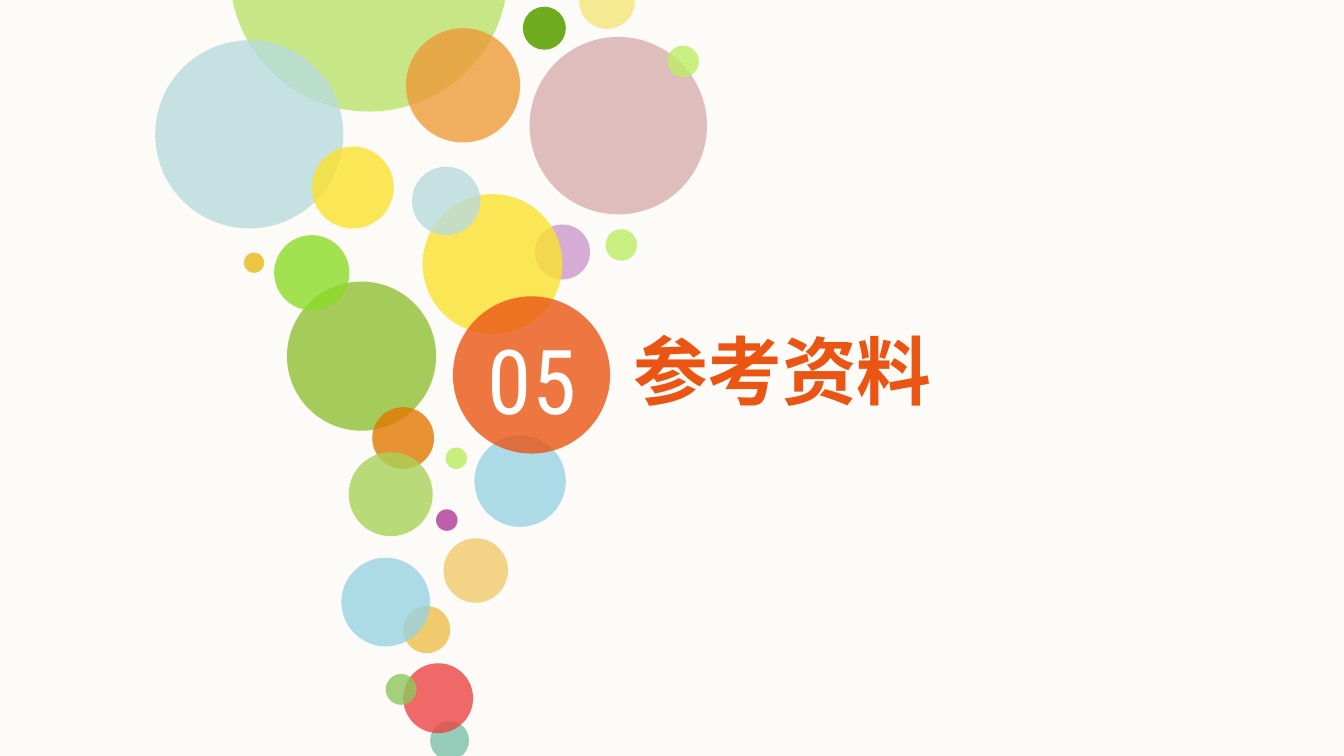
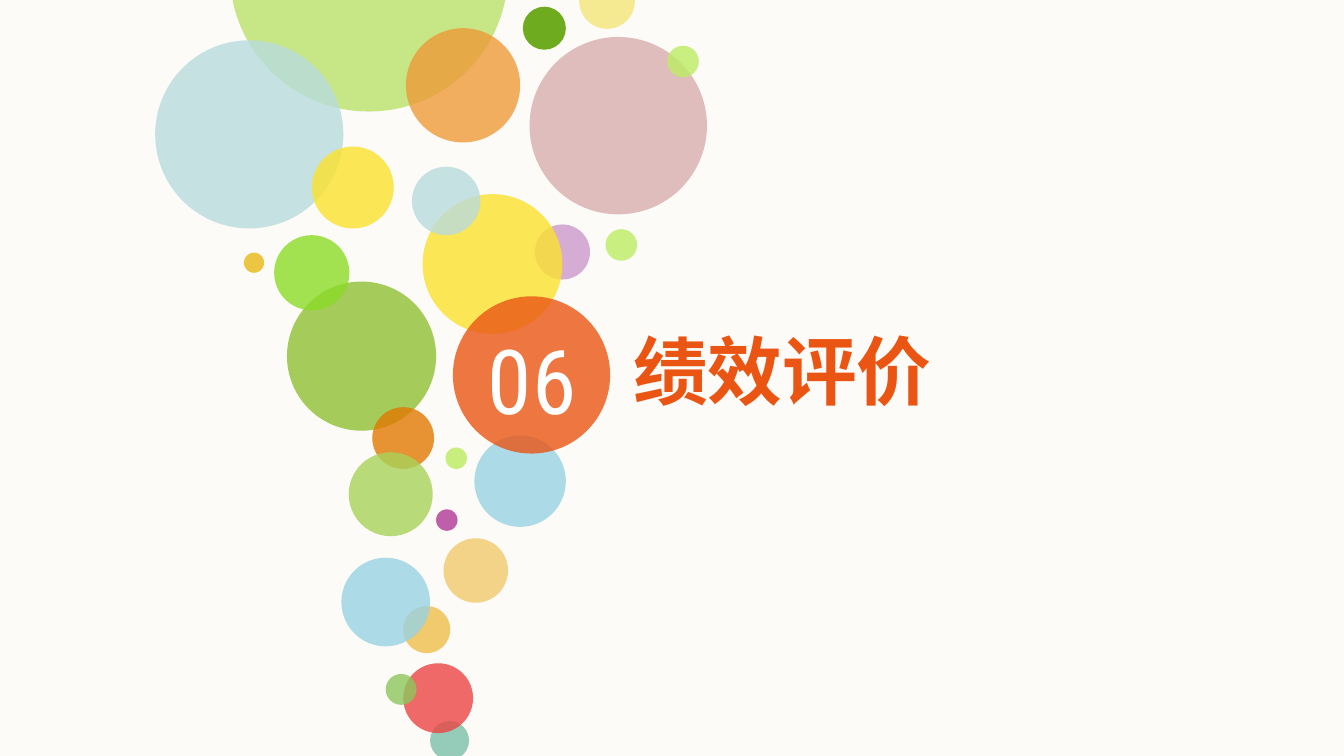
"""Builds two section slides with a column of translucent bubbles."""
import pptx
import pptx.dml.color
import pptx.enum.shapes
import pptx.enum.text
import pptx.oxml.ns
import pptx.util
from lxml import etree

SECTIONS = [("05", "参考资料"), ("06", "绩效评价")]

PAPER, ORANGE, WHITE = "FCFBF7", "EA5514", "FFFFFF"
YELLOW, MIST, SKY, SAND = "FBE22D", "B9DBDD", "98D2E3", "F0CA6C"
NUMBER_FONT, TITLE_FONT = "Roboto Condensed", "Noto Sans CJK SC"

PX = 4572
SLIDE_SIZE = (2000, 1125)
NUMBER_BOX = (712, 484, 160, 162)
TITLE_BOX = (942, 484, 1018, 134)

# left, top, diameter, colour, opacity
BUBBLES = [
    (342, -248, 414, "BAE36B", 80),
    (778, 10, 64, "6EAB1F", 100),
    (231, 60, 280, MIST, 80),
    (604, 42, 170, "ED9B38", 80),
    (862, -40, 83, "F5EA91", 100),
    (788, 55, 264, "D8AEAF", 80),
    (427, 419, 222, "A5CB5A", 100),
    (993, 68, 47, "BDED63", 80),
    (901, 341, 47, "BCED61", 80),
    (796, 334, 82, "CB99CC", 80),
    (629, 289, 208, YELLOW, 80),
    (464, 218, 122, YELLOW, 80),
    (408, 350, 112, "8CDB27", 80),
    (363, 376, 30, "E9B915", 80),
    (663, 666, 32, "BCED60", 80),
    (649, 758, 32, "B03896", 80),
    (660, 801, 96, SAND, 80),
    (600, 902, 70, SAND, 100),
    (640, 1073, 58, "7BBFAA", 80),
    (600, 987, 104, "EB4544", 80),
    (574, 1003, 46, "8DC65B", 80),
    (508, 830, 132, SKY, 80),
    (613, 248, 102, MIST, 80),
    (706, 648, 136, SKY, 80),
    (554, 606, 92, "E27902", 80),
    (519, 673, 125, "A9D25A", 80),
    (674, 441, 234, ORANGE, 80),
]


def paint(fill, colour, opacity=100):
    fill.solid()
    fill.fore_color.rgb = pptx.dml.color.RGBColor.from_string(colour)
    if opacity < 100:
        tint = fill._xPr.find(".//" + pptx.oxml.ns.qn("a:srgbClr"))
        etree.SubElement(tint, pptx.oxml.ns.qn("a:alpha"), val=str(opacity * 1000))


def add_bubble(slide, left, top, diameter, colour, opacity):
    bubble = slide.shapes.add_shape(
        pptx.enum.shapes.MSO_SHAPE.OVAL,
        left * PX, top * PX, diameter * PX, diameter * PX)
    bubble.shadow.inherit = False
    bubble.line.fill.background()
    paint(bubble.fill, colour, opacity)


def write(holder, box, text, size, font_name, colour, align, bold=False):
    holder.left, holder.top, holder.width, holder.height = (n * PX for n in box)
    frame = holder.text_frame
    frame.word_wrap = True
    frame.auto_size = pptx.enum.text.MSO_AUTO_SIZE.SHAPE_TO_FIT_TEXT
    frame.vertical_anchor = pptx.enum.text.MSO_ANCHOR.TOP
    frame.margin_left = frame.margin_top = frame.margin_right = frame.margin_bottom = 0
    paragraph = frame.paragraphs[0]
    paragraph.alignment = align
    run = paragraph.add_run()
    run.text = text
    run.font.size = pptx.util.Pt(size)
    run.font.bold = bold
    run.font.name = font_name
    paint(run.font.fill, colour)
    etree.SubElement(run.font._element, pptx.oxml.ns.qn("a:ea"), typeface=font_name)


def add_section(deck, number, heading):
    slide = deck.slides.add_slide(deck.slide_layouts[5])
    paint(slide.background.fill, PAPER)
    for bubble in BUBBLES:
        add_bubble(slide, *bubble)
    number_box = slide.shapes.add_textbox(0, 0, 0, 0)
    write(number_box, NUMBER_BOX, number, 48, NUMBER_FONT, WHITE,
          pptx.enum.text.PP_ALIGN.CENTER)
    title = slide.shapes.title
    write(title, TITLE_BOX, heading, 40, TITLE_FONT, ORANGE,
          pptx.enum.text.PP_ALIGN.LEFT, bold=True)
    number_box.element.addnext(title.element)


def main():
    deck = pptx.Presentation()
    deck.slide_width, deck.slide_height = (n * PX for n in SLIDE_SIZE)
    for number, heading in SECTIONS:
        add_section(deck, number, heading)
    deck.save("out.pptx")


if __name__ == "__main__":
    main()
